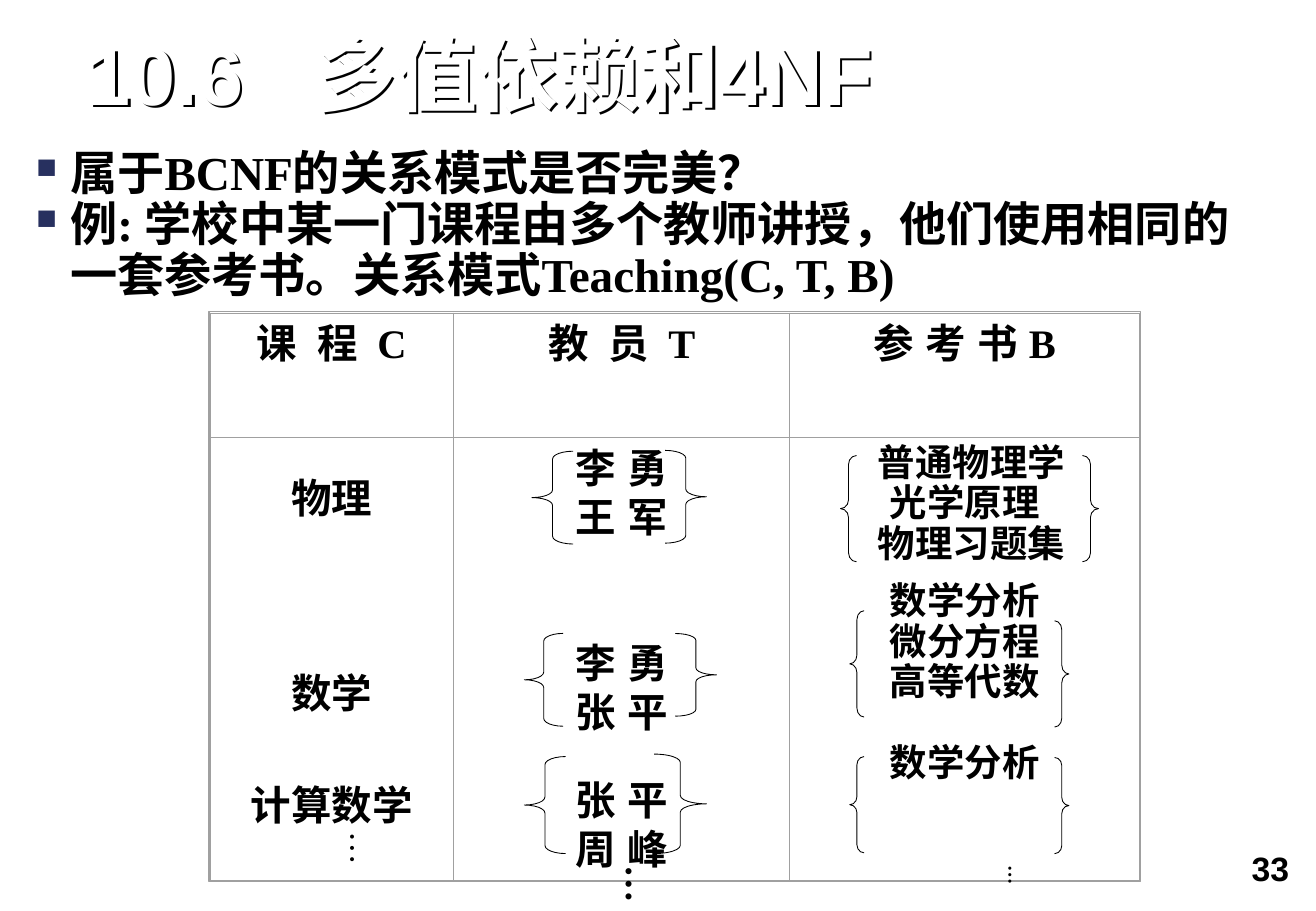
from lxml import etree
from pptx import Presentation
from pptx.dml.color import RGBColor
from pptx.enum import shapes, text
from pptx.oxml import ns
from pptx.util import Pt

BLACK = RGBColor(0, 0, 0)
WHITE = RGBColor(255, 255, 255)
GREY = RGBColor(0xA0, 0xA0, 0xA0)
BULLET = RGBColor(0x27, 0x30, 0x5F)
SERIF = "Times New Roman"
SANS = "Arial"

TITLE = "10.6\t多值依赖和4NF"
POINTS = [
    "属于BCNF的关系模式是否完美？",
    "例: 学校中某一门课程由多个教师讲授，他们使用相同的一套参考书。关系模式Teaching(C, T, B)",
]
# Heading, letter spacing, column width
COLUMNS = [("课 程 C", 2.5, 144.5), ("教 员 T", 2.5, 199.5), ("参 考 书 B", 0, 207.5)]
HEADING_HEIGHT, BODY_HEIGHT = 74, 262.5
# Each entry: text, space before, left indent
COURSES = [("物理", 0, 0), ("数学", 87, 0), ("计算数学", 37.5, 0)]
TEACHERS = [("李 勇", 0, 0), ("王 军", 0, 0), ("李 勇", 58, 0),
            ("张 平", 0, 0), ("张 平", 23.5, 0), ("周 峰", 0, 0)]
BOOKS = [("普通物理学", 0, 8), ("光学原理", 0, 0), ("物理习题集", 0, 8),
         ("数学分析", 10, 0), ("微分方程", 0, 0), ("高等代数", 0, 0),
         ("数学分析", 24, 0)]
# Entries, text size, line pitch, top margin
BODY_CELLS = [(COURSES, 24, 28.8, 21), (TEACHERS, 24, 28.8, 3.6), (BOOKS, 22.2, 24, 3.6)]
# Left, top, width, height, measured from the table corner
LEFT_BRACES = [(191, 82, 24.5, 55), (186.5, 190, 23, 55), (186.5, 263, 24.5, 57.5),
               (374, 84.5, 9.5, 63), (379.5, 176.5, 8.5, 63), (379.5, 263, 8.5, 57)]
RIGHT_BRACES = [(270, 81.5, 24.5, 55), (276, 190, 24.5, 49), (263.5, 261.5, 31, 59),
                (517.5, 84.5, 9.5, 63), (501, 182.5, 8.5, 63), (501, 263.5, 8.5, 57)]
# Box, text size, line pitch, bold
ELLIPSES = [((44.5, 300.5, 62.5, 39), 20, 24, False),
            ((198, 320.5, 72, 34), 22.2, 24, True),
            ((434, 320.5, 52, 21.5), 11.4, 11, True)]


def add_xml(parent, tag, **attributes):
    return etree.SubElement(parent, ns.qn(tag), attributes)


def style_run(span, size, name=SERIF, color=BLACK, bold=True):
    span.font.size = Pt(size)
    span.font.bold = bold
    span.font.color.rgb = color
    span.font.name = name
    add_xml(span._r.get_or_add_rPr(), "a:ea", typeface=SANS)


def style_paragraph(para, size, pitch, align=text.PP_ALIGN.LEFT, **style):
    para.alignment = align
    para.line_spacing = Pt(pitch)
    for span in para.runs:
        style_run(span, size, **style)


def add_text(page, box, words, margins=(0, 0)):
    shape = page.shapes.add_textbox(*map(Pt, box))
    frame = shape.text_frame
    frame.word_wrap = True
    frame.margin_left = frame.margin_right = Pt(margins[0])
    frame.margin_top = frame.margin_bottom = Pt(margins[1])
    frame.text = words
    return shape


def add_title(page, box):
    """Adds white letters that stand out by their black shadow."""
    shape = add_text(page, box, TITLE)
    shape.text_frame.vertical_anchor = text.MSO_ANCHOR.BOTTOM
    para = shape.text_frame.paragraphs[0]
    tabs = add_xml(para._p.get_or_add_pPr(), "a:tabLst")
    add_xml(tabs, "a:tab", pos=str(Pt(136)), algn="l")
    style_paragraph(para, 48, 52, name=SANS, color=WHITE)
    effects = add_xml(shape._element.spPr, "a:effectLst")
    shadow = add_xml(effects, "a:outerShdw", dist=str(Pt(2)), dir="2700000",
                     algn="ctr", rotWithShape="0")
    add_xml(shadow, "a:srgbClr", val=str(BLACK))


def add_points(page, box):
    frame = add_text(page, box, "\n".join(POINTS)).text_frame
    for para in frame.paragraphs:
        properties = para._p.get_or_add_pPr()
        properties.set("marL", str(Pt(20.2)))
        properties.set("indent", str(-Pt(20.2)))
        add_xml(add_xml(properties, "a:buClr"), "a:srgbClr", val=str(BULLET))
        add_xml(properties, "a:buSzPct", val="60000")
        add_xml(properties, "a:buChar", char="■")
        style_paragraph(para, 28, 30.2)


def style_cell(cell, top_margin):
    cell.margin_top, cell.margin_bottom = Pt(top_margin), Pt(0)
    properties = cell._tc.get_or_add_tcPr()
    for side in ("a:lnL", "a:lnR", "a:lnT", "a:lnB"):
        line = add_xml(properties, side, w=str(Pt(0.5)))
        add_xml(add_xml(line, "a:solidFill"), "a:srgbClr", val=str(GREY))
    cell.fill.background()


def fill_body_cell(cell, entries, size, pitch, top_margin):
    style_cell(cell, top_margin)
    cell.text_frame.text = "\n".join(entry[0] for entry in entries)
    for para, (_, gap, indent) in zip(cell.text_frame.paragraphs, entries):
        if gap:
            para.space_before = Pt(gap)
        if indent:
            para._p.get_or_add_pPr().set("marL", str(Pt(indent)))
        style_paragraph(para, size, pitch, text.PP_ALIGN.CENTER)


def add_outline(page, kind, box, color, width):
    shape = page.shapes.add_shape(kind, *map(Pt, box))
    shape.shadow.inherit = False
    shape.fill.background()
    shape.line.color.rgb = color
    shape.line.width = Pt(width)
    return shape


def add_teaching_table(page, box):
    left, top, width, height = box
    add_outline(page, shapes.MSO_SHAPE.RECTANGLE,
                (left - 0.5, top - 0.7, width + 1, height + 1.4), GREY, 0.88)
    table = page.shapes.add_table(2, len(COLUMNS), *map(Pt, box)).table
    table.first_row = table.horz_banding = False
    table.rows[0].height, table.rows[1].height = Pt(HEADING_HEIGHT), Pt(BODY_HEIGHT)
    for index, (heading, tracking, column_width) in enumerate(COLUMNS):
        table.columns[index].width = Pt(column_width)
        cell = table.cell(0, index)
        style_cell(cell, 3.6)
        cell.text_frame.text = heading
        para = cell.text_frame.paragraphs[0]
        style_paragraph(para, 24, 28.8, text.PP_ALIGN.CENTER)
        para.runs[0]._r.rPr.set("spc", str(int(tracking * 100)))
        fill_body_cell(table.cell(1, index), *BODY_CELLS[index])
    add_braces(page, left, top)
    add_ellipses(page, left, top)


def add_braces(page, left, top):
    for kind, braces in ((shapes.MSO_SHAPE.LEFT_BRACE, LEFT_BRACES),
                         (shapes.MSO_SHAPE.RIGHT_BRACE, RIGHT_BRACES)):
        for x, y, width, height in braces:
            brace = add_outline(page, kind, (left + x, top + y, width, height), BLACK, 0.5)
            brace.adjustments[0] = height / 12 / width


def add_ellipses(page, left, top):
    for (x, y, width, height), size, pitch, bold in ELLIPSES:
        box = (left + x, top + y, width, height)
        frame = add_text(page, box, "…", (3.6, 7.2)).text_frame
        frame._txBody.bodyPr.set("vert", "eaVert")
        style_paragraph(frame.paragraphs[0], size, pitch, bold=bold)


def add_page_number(page, box):
    frame = add_text(page, box, "33", (9.4, 4.3)).text_frame
    style_paragraph(frame.paragraphs[0], 20, 24.5, text.PP_ALIGN.RIGHT, name=SANS)


def main():
    deck = Presentation()
    deck.slide_width, deck.slide_height = Pt(780.48), Pt(540)
    page = deck.slides.add_slide(deck.slide_layouts[6])
    add_page_number(page, (576.5, 498, 197.5, 42))
    add_title(page, (51, 20, 695, 52))
    add_points(page, (21.5, 88.5, 731.5, 91))
    table_width = sum(column[2] for column in COLUMNS)
    add_teaching_table(page, (124.5, 185.5, table_width, HEADING_HEIGHT + BODY_HEIGHT))
    deck.save("out.pptx")


if __name__ == "__main__":
    main()
